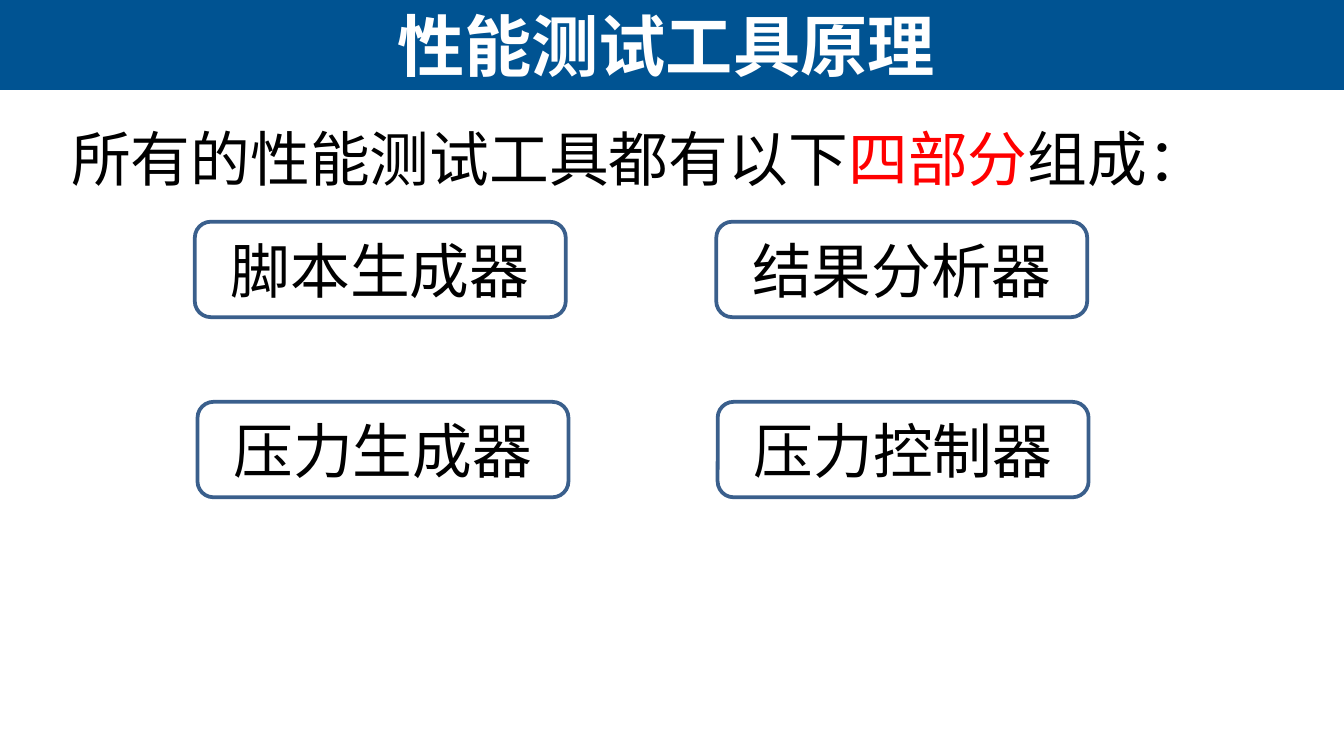
from dataclasses import dataclass

from pptx import Presentation
from pptx.dml.color import RGBColor
from pptx.enum import shapes, text
from pptx.slide import Slide
from pptx.util import Inches, Pt

BLUE = RGBColor(0x00, 0x53, 0x92)
OUTLINE = RGBColor(0x3A, 0x5F, 0x8C)
BLACK = RGBColor(0, 0, 0)
RED = RGBColor(0xFF, 0, 0)
WHITE = RGBColor(0xFF, 0xFF, 0xFF)

BOX_SIZE = (2.76, 0.71)


@dataclass(frozen=True)
class Area:
    left: float
    top: float
    width: float
    height: float

    def lengths(self) -> tuple:
        return tuple(Inches(n) for n in (self.left, self.top, self.width, self.height))


@dataclass(frozen=True)
class Span:
    words: str
    color: RGBColor = BLACK


@dataclass(frozen=True)
class Component:
    label: str
    left: float
    top: float


COMPONENTS = (
    Component("脚本生成器", 1.45, 1.65),
    Component("压力生成器", 1.47, 2.99),
    Component("结果分析器", 5.33, 1.65),
    Component("压力控制器", 5.34, 2.99),
)


def write(shape, spans: list[Span], size: int, font: str, centered: bool, bold: bool = False) -> None:
    """Fill the first paragraph with one run for each span."""
    frame = shape.text_frame
    frame.word_wrap = True
    frame.vertical_anchor = text.MSO_ANCHOR.MIDDLE if centered else text.MSO_ANCHOR.TOP
    paragraph = frame.paragraphs[0]
    paragraph.alignment = text.PP_ALIGN.CENTER if centered else text.PP_ALIGN.LEFT
    for span in spans:
        run = paragraph.add_run()
        run.text = span.words
        run.font.name = font
        run.font.size = Pt(size)
        run.font.bold = bold
        run.font.color.rgb = span.color


def add_title(slide: Slide, title: str) -> None:
    band = slide.shapes.add_shape(shapes.MSO_SHAPE.RECTANGLE, *Area(0, 0, 10, 0.67).lengths())
    band.shadow.inherit = False
    band.fill.solid()
    band.fill.fore_color.rgb = BLUE
    band.line.fill.background()
    box = slide.shapes.add_textbox(*Area(0.02, 0, 9.87, 0.67).lengths())
    write(box, [Span(title, WHITE)], 36, "Arial", centered=True, bold=True)


def add_component(slide: Slide, component: Component) -> None:
    area = Area(component.left, component.top, *BOX_SIZE)
    box = slide.shapes.add_shape(shapes.MSO_SHAPE.ROUNDED_RECTANGLE, *area.lengths())
    box.shadow.inherit = False
    box.fill.background()
    box.line.color.rgb = OUTLINE
    box.line.width = Pt(2)
    write(box, [Span(component.label)], 32, "Calibri", centered=True)


def main() -> None:
    presentation = Presentation()
    presentation.slide_width = Inches(10)
    presentation.slide_height = Inches(10 * 9 / 16)
    slide = presentation.slides.add_slide(presentation.slide_layouts[6])

    add_title(slide, "性能测试工具原理")
    for component in COMPONENTS:
        add_component(slide, component)

    statement = slide.shapes.add_textbox(*Area(0.43, 0.86, 8.98, 0.64).lengths())
    spans = [Span("所有的性能测试工具都有以下"), Span("四部分", RED), Span("组成：")]
    write(statement, spans, 32, "Calibri", centered=False)

    presentation.save("out.pptx")


if __name__ == "__main__":
    main()
